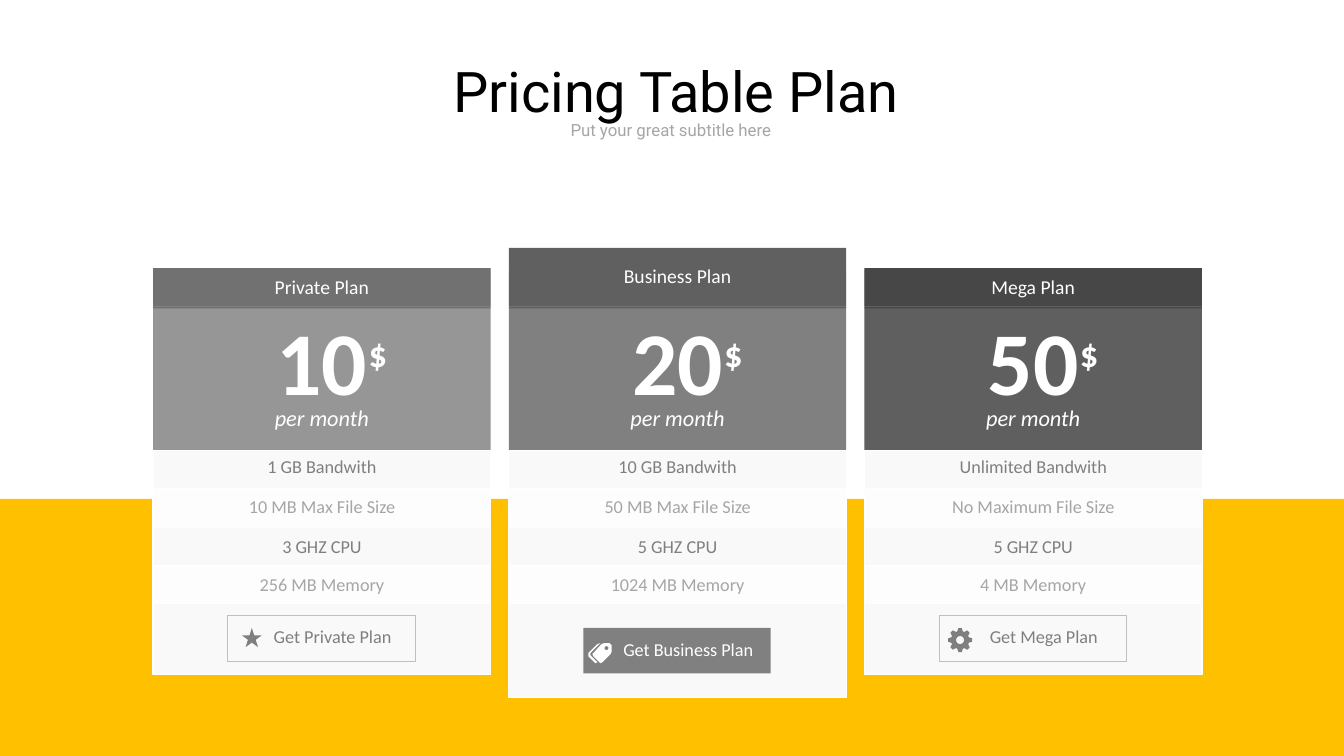
from math import cos, radians, sin

from pptx import Presentation
from pptx.dml.color import RGBColor
from pptx.enum.shapes import MSO_SHAPE as SHAPE
from pptx.enum.text import MSO_AUTO_SIZE as AUTO_SIZE, PP_ALIGN as ALIGN
from pptx.oxml.ns import qn
from pptx.util import Inches, Pt
from lxml import etree

WHITE = RGBColor(0xFF, 0xFF, 0xFF)
BLACK = RGBColor(0, 0, 0)
AMBER = RGBColor(0xFF, 0xC0, 0x00)
PANEL = RGBColor(0xF9, 0xF9, 0xF9)
PANEL_LIGHT = RGBColor(0xFD, 0xFD, 0xFD)
GREY = RGBColor(0x7F, 0x7F, 0x7F)
GREY_BUTTON = RGBColor(0x80, 0x80, 0x80)
GREY_LIGHT = RGBColor(0xA6, 0xA6, 0xA6)
GREY_LINE = RGBColor(0xBF, 0xBF, 0xBF)

COL_LEFT, COL_STEP, COL_W = 1.52, 3.53, 3.35
ROW_TOP, ROW_H = 4.47, 0.38
FEATURE_TOPS = (4.47, 4.86, 5.26, 5.64)
SLACK = 0.06  # spare width that keeps each label on one line

# Feature and button texts come with the width of their text box.
PLANS = [
    dict(name="Private Plan", name_w=1.14, price="10", raised=False,
         head=RGBColor(0x71, 0x71, 0x71), body=RGBColor(0x96, 0x96, 0x96),
         features=[("1 GB Bandwith", 1.28), ("10 MB Max File Size", 1.65),
                   ("3 GHZ CPU", 0.98), ("256 MB Memory", 1.43)],
         button=("Get Private Plan", 1.37)),
    dict(name="Business Plan", name_w=1.26, price="20", raised=True,
         head=RGBColor(0x60, 0x60, 0x60), body=RGBColor(0x80, 0x80, 0x80),
         features=[("10 GB Bandwith", 1.37), ("50 MB Max File Size", 1.65),
                   ("5 GHZ CPU", 0.98), ("1024 MB Memory", 1.52)],
         button=("Get Business Plan", 1.49)),
    dict(name="Mega Plan", name_w=1.03, price="50", raised=False,
         head=RGBColor(0x47, 0x47, 0x47), body=RGBColor(0x5F, 0x5F, 0x5F),
         features=[("Unlimited Bandwith", 1.66), ("No Maximum File Size", 1.81),
                   ("5 GHZ CPU", 0.98), ("4 MB Memory", 1.25)],
         button=("Get Mega Plan", 1.27)),
]

prs = Presentation()
prs.slide_width, prs.slide_height = Inches(13.34), Inches(7.5)
s = prs.slides.add_slide(prs.slide_layouts[6])


def add_box(x, y, w, h, fill=None, line=None, line_w=0.5, kind=SHAPE.RECTANGLE):
    sp = s.shapes.add_shape(kind, Inches(x), Inches(y), Inches(w), Inches(h))
    sp.shadow.inherit = False
    if fill is None:
        sp.fill.background()
    else:
        sp.fill.solid()
        sp.fill.fore_color.rgb = fill
    if line is None:
        sp.line.fill.background()
    else:
        sp.line.color.rgb = line
        sp.line.width = Pt(line_w)
    return sp


def add_label(text, center, y, w, h, size, color, font="Calibri",
              bold=False, italic=False, wrap=False):
    """Add centred text in a box whose middle lies at center."""
    w += SLACK
    tf = s.shapes.add_textbox(Inches(center - w / 2), Inches(y),
                              Inches(w), Inches(h)).text_frame
    tf.word_wrap = wrap
    tf.auto_size = AUTO_SIZE.SHAPE_TO_FIT_TEXT
    p = tf.paragraphs[0]
    p.text = text
    p.alignment = ALIGN.CENTER
    p.font.name, p.font.size, p.font.color.rgb = font, Pt(size), color
    p.font.bold, p.font.italic = bold, italic


add_label("Put your great subtitle here", 6.66, 1.14, 2.9, 0.3, 12, GREY_LIGHT,
          font="Roboto", wrap=True)
add_label("Pricing Table Plan", 6.71, 0.51, 4.81, 0.77, 40, BLACK, font="Roboto")
add_box(0, 4.95, 13.34, 2.55, AMBER)

for i, plan in enumerate(PLANS):
    left = COL_LEFT + i * COL_STEP
    mid = left + COL_W / 2
    raised = plan["raised"]

    add_box(left, 2.68, COL_W, 4.24 if raised else 4.01, PANEL, WHITE, 1)
    add_box(left, 3.04, COL_W, 1.43, plan["body"])
    for row in range(4):
        add_box(left, ROW_TOP + row * ROW_H, COL_W, ROW_H,
                PANEL_LIGHT if row % 2 else PANEL, WHITE)

    shade = add_box(left, 2.68, COL_W, 0.38, BLACK)
    color = shade.fill._xPr.find(qn("a:solidFill"))[0]
    etree.SubElement(color, qn("a:alpha")).set("val", "25000")
    head_top = 2.46 if raised else 2.66
    add_box(left, head_top, COL_W, 3.04 - head_top if raised else 0.38, plan["head"])

    add_label(plan["name"], mid, 2.57 if raised else 2.68, plan["name_w"], 0.34, 14, WHITE)
    add_label(plan["price"], mid, 2.99, 1.1, 1.17, 64, WHITE, bold=True)
    add_label("$", left + 2.23, 3.24, 0.38, 0.54, 26, WHITE, bold=True)
    add_label("per month", mid, 3.96, 1.14, 0.37, 16, WHITE, italic=True)
    for row, (text, w) in enumerate(plan["features"]):
        add_label(text, mid, FEATURE_TOPS[row], w, 0.32, 13, GREY_LIGHT if row % 2 else GREY)

    text, w = plan["button"]
    button_top = 6.23 if raised else 6.1
    if raised:
        add_box(left + 0.74, button_top, 1.86, 0.45, GREY_BUTTON)
    else:
        add_box(left + 0.74, button_top, 1.86, 0.46, line=GREY_LINE, line_w=0.25)
    add_label(text, left + 1.78, button_top + 0.05, w, 0.32, 13, WHITE if raised else GREY)

# Button icons
add_box(2.4, 6.23, 0.2, 0.19, GREY, kind=SHAPE.STAR_5_POINT)

tag = [(6.05, 6.38), (6, 6.38), (5.97, 6.39), (5.89, 6.48), (5.88, 6.49), (5.89, 6.51),
       (5.95, 6.57), (5.96, 6.58), (5.98, 6.57), (6.06, 6.49), (6.07, 6.47), (6.07, 6.4)]
tag_behind = [(5.86, 6.5), (5.93, 6.57), (5.91, 6.58), (5.9, 6.57), (5.84, 6.51),
              (5.84, 6.48), (5.93, 6.39), (5.96, 6.38), (5.86, 6.48)]
tag_hole = [(6.02 + 0.02 * cos(radians(a)), 6.43 + 0.02 * sin(radians(a)))
            for a in range(0, 360, 20)]
gear = [(9.53 + r * cos(radians(tooth + a)), 6.35 + r * sin(radians(tooth + a)))
        for tooth in range(0, 360, 45)
        for r, a in ((0.09, -18), (0.12, -8), (0.12, 8), (0.09, 18))]
gear_hole = [(9.53 + 0.04 * cos(radians(a)), 6.35 + 0.04 * sin(radians(a)))
             for a in range(0, 360, 20)]

for outlines, fill in (([tag, tag_hole, tag_behind], WHITE), ([gear, gear_hole], GREY)):
    contours = [[(Inches(x), Inches(y)) for x, y in pts] for pts in outlines]
    builder = s.shapes.build_freeform(*contours[0][0])
    builder.add_line_segments(contours[0][1:])
    for pts in contours[1:]:
        builder.move_to(*pts[0])
        builder.add_line_segments(pts[1:])
    icon = builder.convert_to_shape()
    icon.shadow.inherit = False
    icon.fill.solid()
    icon.fill.fore_color.rgb = fill
    icon.line.fill.background()

prs.save("out.pptx")
